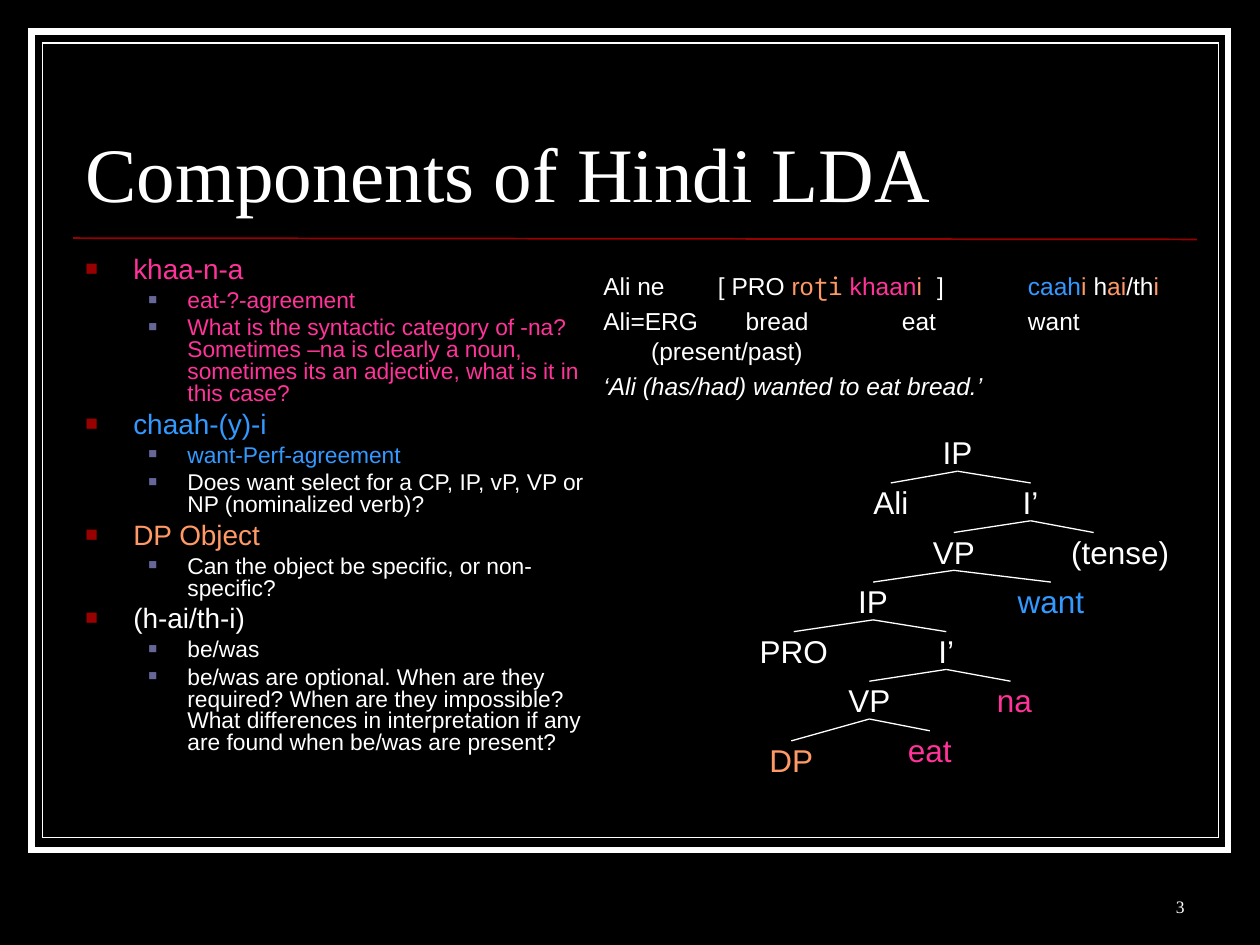
"""Build the slide on the components of Hindi long-distance agreement."""
from dataclasses import dataclass

from lxml import etree
from pptx import Presentation
from pptx.dml import color
from pptx.enum import shapes, text
from pptx.oxml import ns
from pptx.util import Inches, Pt


@dataclass(frozen=True)
class Theme:
    """Hold the colours, fonts and type sizes of the slide."""
    black: str = "000000"
    white: str = "FFFFFF"
    red: str = "990000"
    slate: str = "666699"
    pink: str = "FF3399"
    blue: str = "3399FF"
    orange: str = "FF9966"
    sans: str = "Arial"
    serif: str = "Times New Roman"
    mono: str = "Noto Sans Mono"
    title: int = 44
    topic: int = 16
    detail: int = 13
    gloss: int = 14
    node: int = 18
    number: int = 10


THEME = Theme()
WHITE, PINK, BLUE, ORANGE = THEME.white, THEME.pink, THEME.blue, THEME.orange

LEVELS = (
    dict(margin=0.38, hang=0.38, size=THEME.topic, before=4, bullet=THEME.red, scale=75),
    dict(margin=0.81, hang=0.31, size=THEME.detail, before=3.3, bullet=THEME.slate, scale=65),
)

OUTLINE = (
    (0, "khaa-n-a", PINK),
    (1, "eat-?-agreement", PINK),
    (1, "What is the syntactic category of -na? Sometimes –na is clearly a noun, "
        "sometimes its an adjective, what is it in this case?", PINK),
    (0, "chaah-(y)-i", BLUE),
    (1, "want-Perf-agreement", BLUE),
    (1, "Does want select for a CP, IP, vP, VP or NP (nominalized verb)?", WHITE),
    (0, "DP Object", ORANGE),
    (1, "Can the object be specific, or non-specific?", WHITE),
    (0, "(h-ai/th-i)", WHITE),
    (1, "be/was", WHITE),
    (1, "be/was are optional. When are they required? When are they impossible? "
        "What differences in interpretation if any are found when be/was are present?", WHITE),
)

GLOSS = (
    (0.91, (0.91, 2.65, 3.37), (
        ("Ali ne\t[ PRO ", WHITE, {}), ("ro", ORANGE, {}),
        ("ʈi", ORANGE, {"name": THEME.mono}), (" khaan", PINK, {}), ("i", ORANGE, {}),
        ("\t]\t", WHITE, {}), ("caah", BLUE, {}), ("i ", ORANGE, {}), ("h", WHITE, {}),
        ("ai", ORANGE, {}), ("/th", WHITE, {}), ("i", ORANGE, {}))),
    (1.13, (0.38, 1.13, 2.37, 3.37), (
        ("Ali=ERG\tbread\teat\twant", WHITE, {}), ("\n", WHITE, {}),
        ("\t(present/past)", WHITE, {}))),
    (1, (1,), (("‘Ali (has/had) wanted to eat bread.’", WHITE, {"italic": True}),)),
)


@dataclass(frozen=True)
class Node:
    """Describe one syntax node by label, centre, width and children."""
    label: str
    centre: float
    width: float
    children: tuple = ()
    colour: str = WHITE
    branch_shift: float = 0
    drop: float = 0


LOWER_VP = Node("VP", 6.9, 0.4, (
    Node("DP", 6.28, 0.4, colour=ORANGE, drop=0.08), Node("eat", 7.38, 0.4, colour=PINK)))
LOWER_IP = Node("IP", 6.93, 0.3, (
    Node("PRO", 6.3, 0.6),
    Node("I’", 7.51, 0.2, (
        LOWER_VP, Node("na", 8.05, 0.35, colour=PINK, branch_shift=-0.03)))))
TREE = Node("IP", 7.6, 0.3, (
    Node("Ali", 7.07, 0.35),
    Node("I’", 8.18, 0.2, (
        Node("VP", 7.57, 0.4, (LOWER_IP, Node("want", 8.34, 0.6, colour=BLUE))),
        Node("(tense)", 8.89, 0.85, branch_shift=-0.21)))))
TREE_TOP, NODE_HEIGHT = 3.44, 0.3
LEVEL_STEP = (5.8 - TREE_TOP) / 6


def apply(target, values):
    """Set each named attribute of the target."""
    for name, value in values.items():
        setattr(target, name, value)


def rgb(value):
    """Turn a hex string into a colour."""
    return color.RGBColor.from_string(value)


def add_element(parent, tag, **attributes):
    """Append a drawing element with attributes."""
    element = etree.SubElement(parent, ns.qn(tag))
    for name, value in attributes.items():
        element.set(name, str(value))
    return element


def add_run(paragraph, wording, size, colour, **font):
    """Add a run, or a line break, with its size, colour and font."""
    if wording == "\n":
        paragraph.add_line_break()
        add_element(paragraph._p[-1], "a:rPr", sz=size * 100)
        return
    run = paragraph.add_run()
    run.text = wording
    apply(run.font, {"size": Pt(size), "name": THEME.sans, **font})
    run.font.color.rgb = rgb(colour)


def add_text(parent, box, inset=(0.1, 0.05), **frame_format):
    """Add a text box and return its frame."""
    frame = parent.add_textbox(*map(Inches, box)).text_frame
    side, edge = map(Inches, inset)
    apply(frame, {"margin_left": side, "margin_right": side, "margin_top": edge,
                  "margin_bottom": edge, "word_wrap": True, **frame_format})
    return frame


def next_paragraph(frame, index, before):
    """Return the paragraph at an index, spaced from the one above."""
    if index == 0:
        return frame.paragraphs[0]
    paragraph = frame.add_paragraph()
    paragraph.space_before = Pt(before)
    return paragraph


def add_line(parent, start, end, colour, width):
    """Draw a straight line between two points."""
    line = parent.add_connector(shapes.MSO_CONNECTOR.STRAIGHT, *map(Inches, start + end))
    line.line.color.rgb = rgb(colour)
    line.line.width = Pt(width)
    add_element(line._element.spPr, "a:effectLst")


def add_frame(parent, box, width):
    """Draw a black rectangle with a sharp-cornered white border."""
    border = parent.add_shape(shapes.MSO_SHAPE.RECTANGLE, *map(Inches, box))
    border.shadow.inherit = False
    border.fill.solid()
    border.fill.fore_color.rgb = rgb(THEME.black)
    border.line.color.rgb = rgb(WHITE)
    border.line.width = Pt(width)
    add_element(border._element.spPr.find(ns.qn("a:ln")), "a:miter", lim=800000)


def add_outline(parent):
    """Write the bulleted list of components."""
    frame = add_text(parent, (0.58, 2, 4.37, 4.42))
    for index, (depth, wording, colour) in enumerate(OUTLINE):
        level = LEVELS[depth]
        paragraph = next_paragraph(frame, index, level["before"])
        properties = paragraph._p.get_or_add_pPr()
        properties.set("marL", str(Inches(level["margin"])))
        properties.set("indent", str(-Inches(level["hang"])))
        bullet_colour = add_element(properties, "a:buClr")
        add_element(bullet_colour, "a:srgbClr", val=level["bullet"])
        add_element(properties, "a:buSzPct", val=level["scale"] * 1000)
        add_element(properties, "a:buFont", typeface=THEME.sans)
        add_element(properties, "a:buChar", char="■")
        apply(paragraph, {"level": depth, "line_spacing": 0.8})
        add_run(paragraph, wording, level["size"], colour)


def add_gloss(parent):
    """Write the glossed example sentence on tab stops."""
    frame = add_text(parent, (4.69, 2.1, 4.93, 4.42))
    for index, (tab_size, stops, runs) in enumerate(GLOSS):
        paragraph = next_paragraph(frame, index, 3.5)
        properties = paragraph._p.get_or_add_pPr()
        properties.set("defTabSz", str(Inches(tab_size)))
        tabs = add_element(properties, "a:tabLst")
        for stop in stops:
            add_element(tabs, "a:tab", pos=Inches(stop), algn="l")
        for wording, colour, font in runs:
            add_run(paragraph, wording, THEME.gloss, colour, **font)


def add_node(parent, node, depth=0):
    """Draw a syntax node, its branches and its children."""
    top = TREE_TOP + depth * LEVEL_STEP + node.drop
    frame = add_text(parent, (node.centre - node.width / 2, top, node.width, NODE_HEIGHT),
                     (0, 0), word_wrap=False, vertical_anchor=text.MSO_ANCHOR.MIDDLE)
    frame.paragraphs[0].alignment = text.PP_ALIGN.CENTER
    add_run(frame.paragraphs[0], node.label, THEME.node, node.colour)
    for child in node.children:
        child_top = TREE_TOP + (depth + 1) * LEVEL_STEP + child.drop
        add_line(parent, (node.centre, top + NODE_HEIGHT),
                 (child.centre + child.branch_shift, child_top), WHITE, 0.75)
        add_node(parent, child, depth + 1)


def add_serif_line(parent, box, wording, size, **paragraph_format):
    """Write one bottom-anchored line in the serif face."""
    frame = add_text(parent, box, vertical_anchor=text.MSO_ANCHOR.BOTTOM)
    apply(frame.paragraphs[0], paragraph_format)
    add_run(frame.paragraphs[0], wording, size, WHITE, name=THEME.serif)


def main():
    """Build and save the slide."""
    deck = Presentation()
    apply(deck, {"slide_width": Inches(10), "slide_height": Inches(7.5)})
    slide = deck.slides.add_slide(deck.slide_layouts[6])
    slide.background.fill.solid()
    slide.background.fill.fore_color.rgb = rgb(THEME.black)
    canvas = slide.shapes
    add_frame(canvas, (0.25, 0.25, 9.5, 6.5), 3.5)
    add_frame(canvas, (0.34, 0.34, 9.33, 6.31), 0.75)
    add_line(canvas, (0.58, 1.89), (9.5, 1.9), THEME.red, 1)
    add_serif_line(canvas, (0.58, 0.52, 8.92, 1.25), "Components of Hindi LDA",
                   THEME.title, line_spacing=0.8)
    add_outline(canvas)
    add_node(canvas.add_group_shape().shapes, TREE)
    add_gloss(canvas)
    add_serif_line(canvas, (7.42, 6.83, 2.08, 0.5), "3", THEME.number,
                   alignment=text.PP_ALIGN.RIGHT)
    deck.save("out.pptx")


if __name__ == "__main__":
    main()
